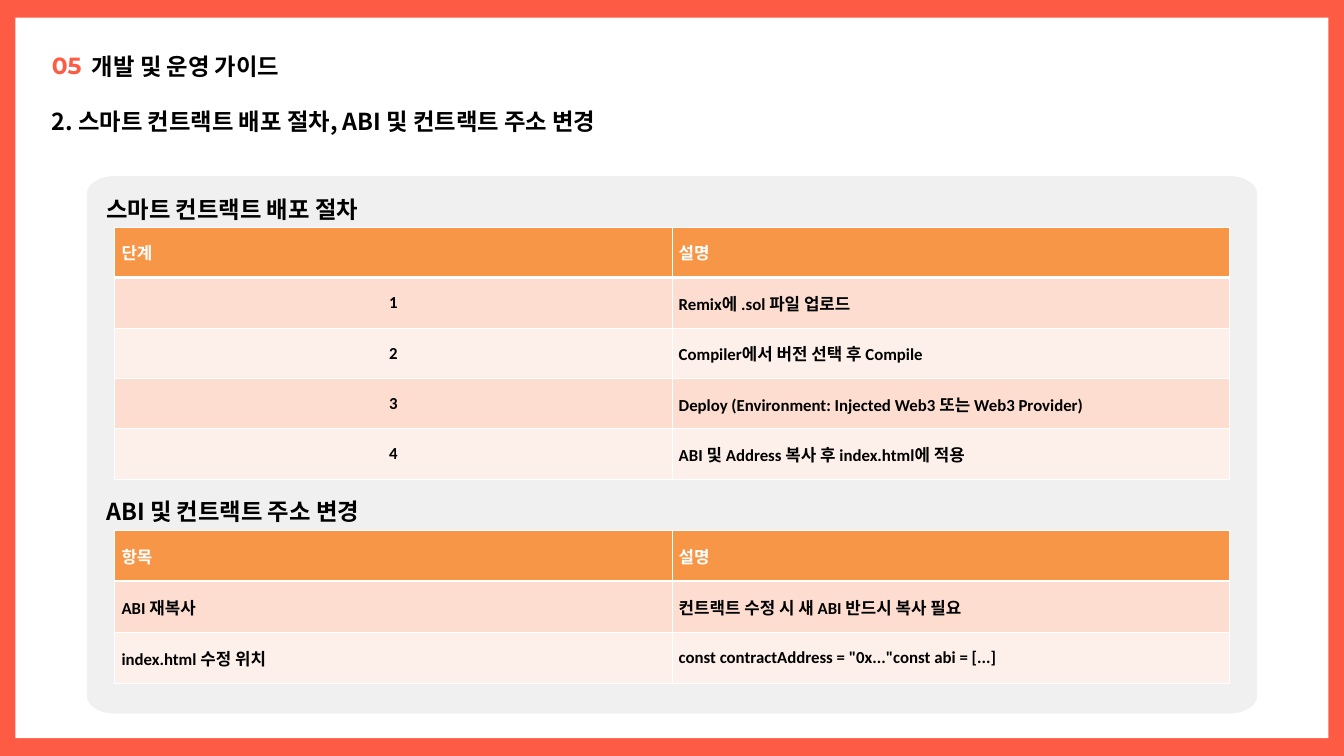
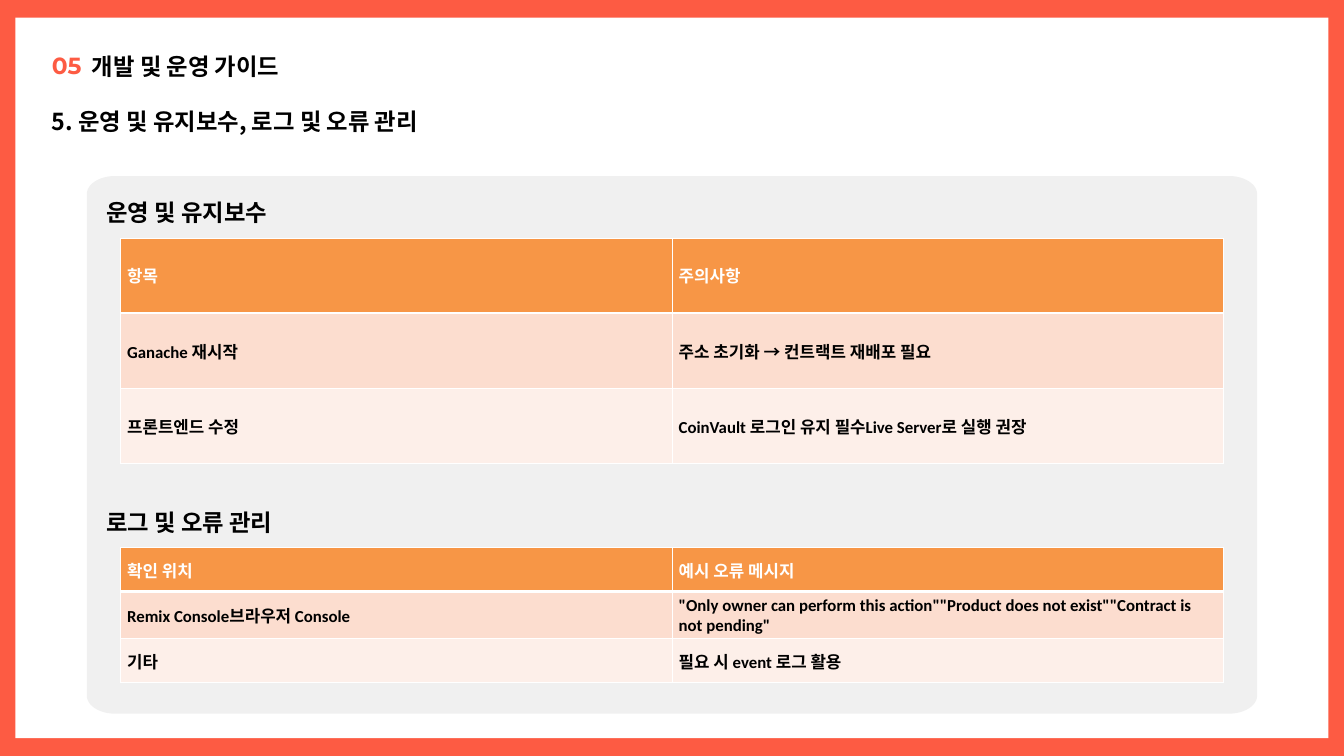
from math import cos, pi, sin

from lxml import etree
from pptx import Presentation
from pptx.dml.color import RGBColor
from pptx.enum import shapes, text
from pptx.oxml import ns
from pptx.util import Pt

# Shared look
W, H = 1440, 810
CORAL, WHITE, BLACK, GREY = "FD5B43", "FFFFFF", "000000", "F0F0F0"
HEADER, BANDS = "F79646", ("FCDDCF", "FDEFE9")
KOREAN, NUMBER, BODY = "Noto Sans CJK SC", "Montserrat", "Calibri"
SECTION = "05", "개발 및 운영 가이드"


def rgb(hex_color):
    return RGBColor.from_string(hex_color)


def paint(fill, color):
    fill.solid()
    fill.fore_color.rgb = rgb(color)


def add_run(p, words, size, font, color):
    r = p.add_run()
    r.text = words
    for name, value in dict(size=Pt(size), name=font, bold=True).items():
        setattr(r.font, name, value)
    r.font.color.rgb = rgb(color)
    etree.SubElement(r.font._element, ns.qn("a:ea"), typeface=KOREAN)


def add_title(s, words, x, y, w, font=KOREAN, color=BLACK):
    tf = s.shapes.add_textbox(Pt(x), Pt(y), Pt(w), Pt(33)).text_frame
    settings = dict(margin_left=0, margin_top=0, margin_right=0, margin_bottom=0,
                    word_wrap=True, auto_size=text.MSO_AUTO_SIZE.SHAPE_TO_FIT_TEXT)
    for name, value in settings.items():
        setattr(tf, name, value)
    p = tf.paragraphs[0]
    p.line_spacing = Pt(35)
    add_run(p, words, 25, font, color)


def finish_shape(sp, color):
    paint(sp.fill, color)
    sp.line.fill.background()
    sp.shadow.inherit = False


def add_frame(s):
    x, y = 16.56, 19
    sp = s.shapes.add_shape(shapes.MSO_SHAPE.RECTANGLE, Pt(x), Pt(y),
                            Pt(W - 2 * x), Pt(H - 2 * y))
    finish_shape(sp, WHITE)


def add_panel(s):
    """Grey panel whose corners are wider than they are high."""
    left, top, right, bottom = 93, 188.64, W - 93, 764.64
    rx, ry, steps = 30, 19.5, 12
    centres = [(right - rx, bottom - ry), (left + rx, bottom - ry),
               (left + rx, top + ry), (right - rx, top + ry)]
    points = []
    for quarter, (cx, cy) in enumerate(centres):
        for step in range(steps + 1):
            angle = pi / 2 * (quarter + step / steps)
            points.append((Pt(cx + rx * cos(angle)), Pt(cy + ry * sin(angle))))
    builder = s.shapes.build_freeform(*points[0])
    builder.add_line_segments(points[1:], close=True)
    finish_shape(builder.convert_to_shape(), GREY)


def set_borders(cell, row):
    widths = dict(lnL=1, lnR=1, lnT=3 if row == 1 else 1, lnB=3 if row == 0 else 1)
    for side, width in widths.items():
        ln = etree.SubElement(cell._tc.get_or_add_tcPr(), ns.qn("a:" + side), w=str(Pt(width)))
        fill = etree.SubElement(ln, ns.qn("a:solidFill"))
        etree.SubElement(fill, ns.qn("a:srgbClr"), val=WHITE)


def add_grid(s, rows, y, w, row_h):
    """Two equal columns, centred on the slide, with a header row."""
    frame = s.shapes.add_table(len(rows), 2, Pt((W - w) / 2), Pt(y),
                               Pt(w), Pt(row_h * len(rows)))
    for i, row in enumerate(rows):
        frame.table.rows[i].height = Pt(row_h)
        for j, words in enumerate(row):
            cell = frame.table.cell(i, j)
            set_borders(cell, i)
            paint(cell.fill, BANDS[(i - 1) % 2] if i else HEADER)
            cell.vertical_anchor = text.MSO_ANCHOR.MIDDLE
            p = cell.text_frame.paragraphs[0]
            if words.isdigit():
                p.alignment = text.PP_ALIGN.CENTER
            add_run(p, words, 18, BODY, BLACK if i else WHITE)


def add_guide_slide(prs, heading, table_w, parts):
    s = prs.slides.add_slide(prs.slide_layouts[6])
    paint(s.background.fill, CORAL)
    add_frame(s)
    number, section = SECTION
    add_title(s, section, 98.5, 50.5, 297)
    add_title(s, number, 55.5, 49.5, 43, NUMBER, CORAL)
    add_title(s, heading, 55.5, 109.5, 707)
    add_panel(s)
    for title, title_y, table_y, row_h, rows in parts:
        add_grid(s, rows, table_y, table_w, row_h)
        add_title(s, title, 114, title_y, 294)


def main():
    prs = Presentation()
    prs.slide_width, prs.slide_height = Pt(W), Pt(H)

    # Deployment, ABI and address
    deploy = [
        ("단계", "설명"),
        ("1", "Remix에 .sol 파일 업로드"),
        ("2", "Compiler에서 버전 선택 후 Compile"),
        ("3", "Deploy (Environment: Injected Web3 또는 Web3 Provider)"),
        ("4", "ABI 및 Address 복사 후 index.html에 적용"),
    ]
    address = [
        ("항목", "설명"),
        ("ABI 재복사", "컨트랙트 수정 시 새 ABI 반드시 복사 필요"),
        ("index.html 수정 위치", 'const contractAddress = "0x..."const abi = [...]'),
    ]
    add_guide_slide(prs, "2. 스마트 컨트랙트 배포 절차, ABI 및 컨트랙트 주소 변경", 1194, [
        ("스마트 컨트랙트 배포 절차", 204, 243.5, 54, deploy),
        ("ABI 및 컨트랙트 주소 변경", 528, 568, 54.75, address),
    ])

    # Operation, logs and errors
    operation = [
        ("항목", "주의사항"),
        ("Ganache 재시작", "주소 초기화 → 컨트랙트 재배포 필요"),
        ("프론트엔드 수정", "CoinVault 로그인 유지 필수Live Server로 실행 권장"),
    ]
    errors = [
        ("확인 위치", "예시 오류 메시지"),
        ("Remix Console브라우저 Console",
         '"Only owner can perform this action""Product does not exist"'
         '"Contract is not pending"'),
        ("기타", "필요 시 event 로그 활용"),
    ]
    add_guide_slide(prs, "5. 운영 및 유지보수, 로그 및 오류 관리", 1182, [
        ("운영 및 유지보수", 207.5, 255, 80.5, operation),
        ("로그 및 오류 관리", 539.5, 587, 47, errors),
    ])

    prs.save("out.pptx")


if __name__ == "__main__":
    main()
